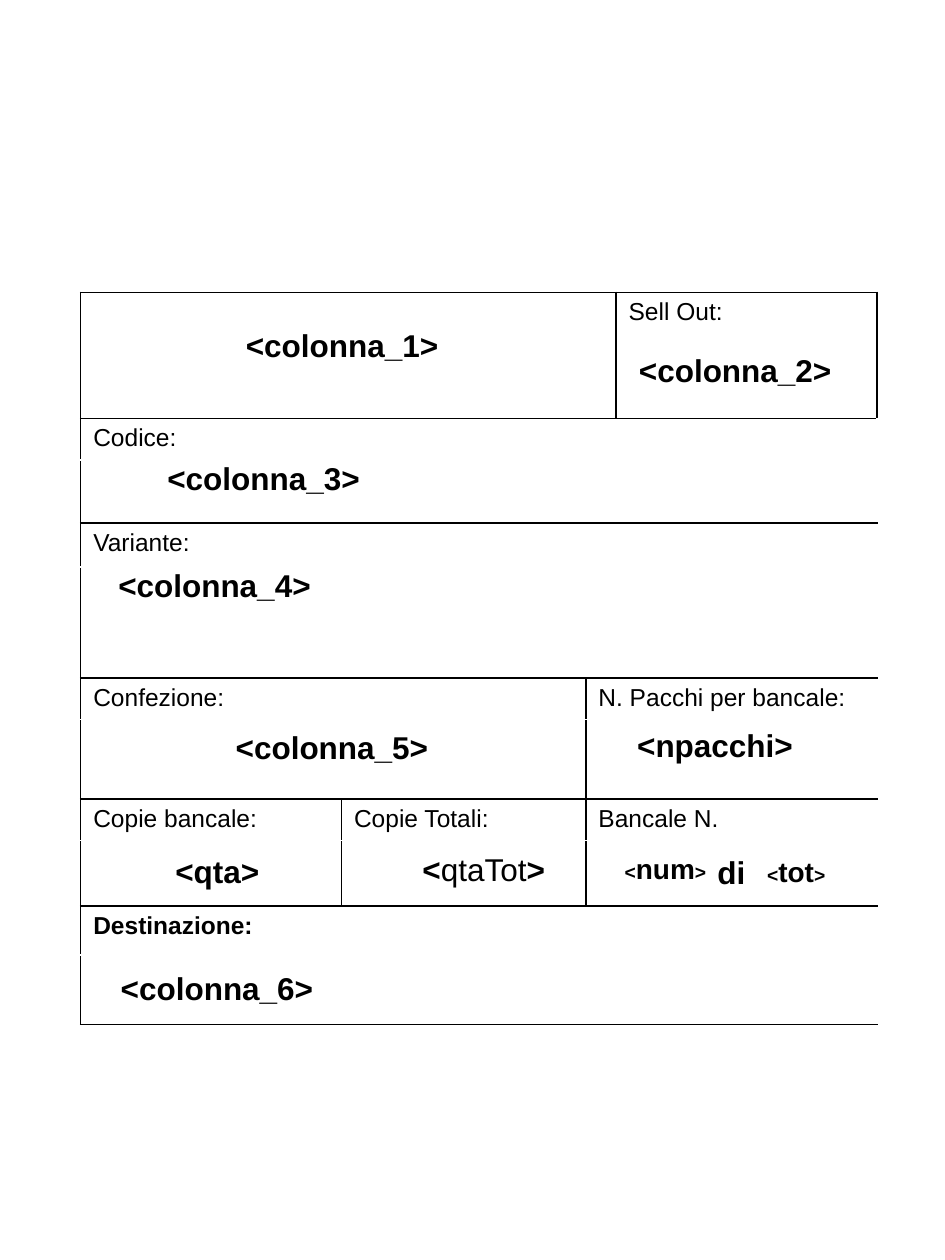
"""Build a one-page pallet label: a ruled form with its merge fields."""
import pptx
import pptx.util
import pptx.dml.color
import pptx.enum.text
import lxml.etree

INK, PAPER = "000000", "FFFFFF"
FONT = "Arial"
LEFT, MIDDLE = pptx.enum.text.PP_ALIGN.LEFT, pptx.enum.text.PP_ALIGN.CENTER
FORM_LEFT, FORM_TOP = 0.64, 2.32
COLUMNS = [2.07, 1.94, 0.13, 2.07]
# height, top rule, bottom rule, (columns spanned, text)
ROWS = [
    (1.00, INK, INK, [(3, ""), (1, "Sell Out:")]),
    (0.33, INK, PAPER, [(4, "Codice:")]),
    (0.50, PAPER, INK, [(4, "")]),
    (0.35, INK, PAPER, [(4, "Variante:")]),
    (0.88, PAPER, INK, [(4, "")]),
    (0.33, INK, PAPER, [(2, "Confezione:"), (2, "N. Pacchi per bancale:")]),
    (0.63, PAPER, INK, [(2, ""), (2, "")]),
    (0.33, INK, PAPER, [(1, "Copie bancale:"), (1, "Copie Totali:"), (2, "Bancale N.")]),
    (0.52, PAPER, INK, [(1, ""), (1, ""), (2, "di")]),
    (0.39, INK, PAPER, [(4, "Destinazione:")]),
    (0.55, PAPER, INK, [(4, "")]),
]
BOLD_LABELS = {"di": 18, "Destinazione:": 14}
# left, top, width, height, alignment, runs of (text, size, bold)
FIELDS = [
    (0.66, 2.54, 4.11, 0.4, MIDDLE, [("<colonna_1>", 18, True)]),
    (4.81, 2.74, 2.05, 0.4, MIDDLE, [("<colonna_2>", 18, True)]),
    (1.23, 3.59, 2.06, 0.4, LEFT, [("<colonna_3>", 18, True)]),
    (0.84, 4.44, 5.75, 0.4, LEFT, [("<colonna_4>", 18, True)]),
    (0.67, 5.73, 3.93, 0.4, MIDDLE, [("<colonna_5>", 18, True)]),
    (4.65, 5.71, 2.05, 0.4, MIDDLE, [("<npacchi>", 18, True)]),
    (0.70, 6.71, 2.05, 0.4, MIDDLE, [("<qta>", 18, True)]),
    (2.87, 6.70, 1.94, 0.4, MIDDLE, [("<", 18, True), ("qtaTot", 18, False), (">", 18, True)]),
    (4.86, 6.71, 0.86, 0.37, LEFT, [("<", 11, True), ("num", 16, True), (">", 11, True)]),
    (5.99, 6.73, 0.71, 0.37, LEFT, [("<", 11, True), ("tot", 16, True), (">", 11, True)]),
    (0.86, 7.64, 5.75, 0.4, LEFT, [("<colonna_6>", 18, True)]),
]


def inches(*lengths):
    return [pptx.util.Inches(length) for length in lengths]


def color(hex_string):
    return pptx.dml.color.RGBColor.from_string(hex_string)


def style(font, size, bold):
    font.name, font.size, font.bold = FONT, pptx.util.Pt(size), bold
    font.color.rgb = color(INK)


def rule(cell, edges):
    properties = cell._tc.get_or_add_tcPr()
    main = "{%s}" % properties.nsmap["a"]
    for side in "LRTB":
        if side in edges:
            line = lxml.etree.SubElement(properties, main + "ln" + side, w="12700")
            fill = lxml.etree.SubElement(line, main + "solidFill")
            lxml.etree.SubElement(fill, main + "srgbClr", val=edges[side])


def add_form(slide):
    heights = [row[0] for row in ROWS]
    frame = slide.shapes.add_table(
        len(ROWS), len(COLUMNS), *inches(FORM_LEFT, FORM_TOP, sum(COLUMNS), sum(heights)))
    form = frame.table
    form.first_row = form.horz_banding = False
    for column, width in zip(form.columns, inches(*COLUMNS)):
        column.width = width
    for row, height in zip(form.rows, inches(*heights)):
        row.height = height
    for y, (_, top, bottom, labels) in enumerate(ROWS):
        start = 0
        for span, text in labels:
            end = start + span - 1
            for x in range(start, end + 1):
                edges = {"T": top, "B": bottom}
                if x == start:
                    edges["L"] = INK
                if x == end:
                    edges["R"] = INK
                cell = form.cell(y, x)
                rule(cell, edges)
                cell.fill.solid()
                cell.fill.fore_color.rgb = color(PAPER)
                style(cell.text_frame.paragraphs[0].font, 14, False)
            label = form.cell(y, start)
            if span > 1:
                label.merge(form.cell(y, end))
            if text:
                label.text = text
                paragraph = label.text_frame.paragraphs[0]
                style(paragraph.font, BOLD_LABELS.get(text, 14), text in BOLD_LABELS)
                if text == "di":
                    paragraph.alignment = MIDDLE
                    label.vertical_anchor = pptx.enum.text.MSO_ANCHOR.MIDDLE
            start = end + 1


def add_field(slide, left, top, width, height, alignment, runs):
    frame = slide.shapes.add_textbox(*inches(left, top, width, height)).text_frame
    frame.word_wrap = True
    frame.auto_size = pptx.enum.text.MSO_AUTO_SIZE.SHAPE_TO_FIT_TEXT
    paragraph = frame.paragraphs[0]
    paragraph.alignment = alignment
    if len(runs) == 1:
        style(paragraph.font, *runs[0][1:])
    for text, size, bold in runs:
        run = paragraph.add_run()
        run.text = text
        if len(runs) > 1:
            style(run.font, size, bold)


def main():
    presentation = pptx.Presentation()
    presentation.slide_width, presentation.slide_height = inches(7.5, 10)
    slide = presentation.slides.add_slide(presentation.slide_layouts[6])
    add_form(slide)
    for field in FIELDS:
        add_field(slide, *field)
    presentation.save("out.pptx")


if __name__ == "__main__":
    main()
